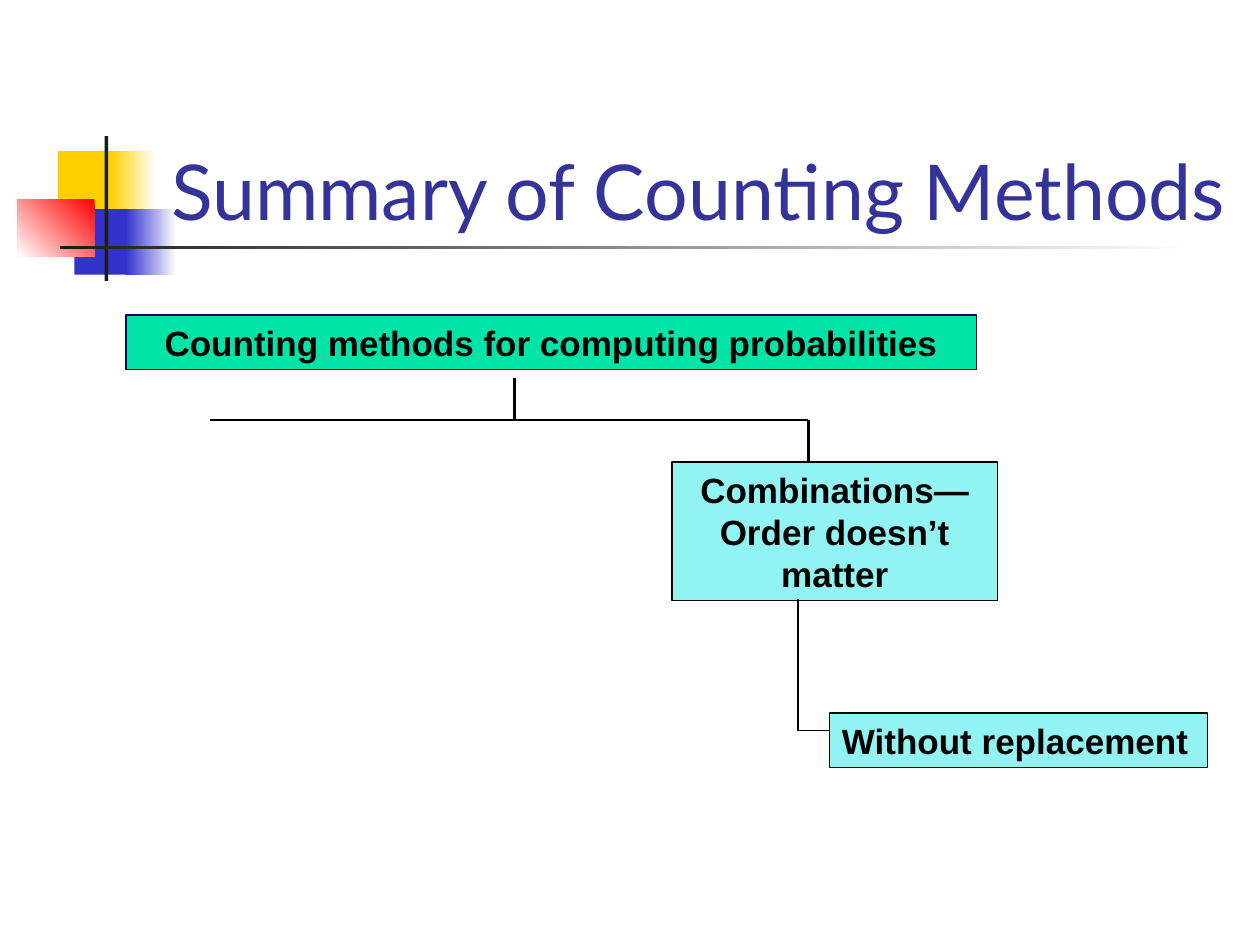
from typing import NamedTuple

from lxml import etree
from pptx import Presentation
from pptx.dml.color import RGBColor
from pptx.enum.shapes import MSO_CONNECTOR, MSO_SHAPE
from pptx.enum.text import MSO_ANCHOR, MSO_AUTO_SIZE, PP_ALIGN
from pptx.oxml.ns import qn
from pptx.util import Inches, Pt

RECT = MSO_SHAPE.RECTANGLE
STRAIGHT = MSO_CONNECTOR.STRAIGHT
TOP, BOTTOM = MSO_ANCHOR.TOP, MSO_ANCHOR.BOTTOM
LEFT, CENTER = PP_ALIGN.LEFT, PP_ALIGN.CENTER
GROW, FIXED = MSO_AUTO_SIZE.SHAPE_TO_FIT_TEXT, MSO_AUTO_SIZE.NONE

WIDTH, HEIGHT = 10, 7.5
CELL = 1 / 12  # the chart's grid has twelve cells to the inch
WHITE, BLACK, DARK = "FFFFFF", "000000", "1C1C1C"
YELLOW, BLUE, RED = "FFCF01", "3333CC", "FF0000"
GREEN, AQUA, NAVY, INDIGO = "00E4A8", "92F4F2", "000066", "333399"


class Ornament(NamedTuple):
    """Title decoration in inches; two colours make a gradient."""
    left: float
    top: float
    width: float
    height: float
    colors: tuple[str, ...]
    angle: int = 180


class Box(NamedTuple):
    """Labelled box in grid cells."""
    col: float
    row: float
    cols: float
    rows: float
    lines: tuple[str, ...]
    fill: str
    border: str = BLACK
    align: PP_ALIGN = CENTER


class Branch(NamedTuple):
    """Straight line between two grid points."""
    col1: float
    row1: float
    col2: float
    row2: float
    weight: float = 1.5


ORNAMENTS = [
    Ornament(0.46, 1.2, 0.48, 0.52, (YELLOW,)),
    Ornament(0.88, 1.2, 0.36, 0.52, (WHITE, YELLOW)),
    Ornament(0.59, 1.66, 0.46, 0.52, (BLUE,)),
    Ornament(1, 1.66, 0.4, 0.52, (WHITE, BLUE)),
    Ornament(0.14, 1.58, 0.61, 0.46, (RED, WHITE), 225),
    Ornament(0.83, 1.08, 0.03, 1.15, (DARK,)),
    Ornament(0.48, 1.95, 9, 0.03, (WHITE, DARK)),
]
CHART = [
    Box(12, 30, 81, 5.2, ("Counting methods for computing probabilities",), GREEN, NAVY),
    Branch(77, 40, 77, 47),
    Branch(49, 36, 49, 40),
    Branch(20, 40, 77, 40),
    Box(64, 44, 31, 13.2, ("Combinations—", "Order doesn’t matter"), AQUA),
    Branch(76, 57, 76, 69.6, 0.75),
    Box(79, 67.9, 36, 5.2, ("Without replacement",), AQUA, align=LEFT),
    Branch(76, 69.6, 79, 69.6, 0.75),
]


def rgb(color: str) -> RGBColor:
    return RGBColor.from_string(color)


def grid(*cells: float) -> list[int]:
    return [Inches(n * CELL) for n in cells]


def write(sp, lines, *, font="Arial", size=20, color=BLACK, bold=False, align=CENTER,
          anchor=TOP, fit=GROW, before=0, spacing=1.0) -> None:
    """Fill a shape with paragraphs; the gap before applies to the first."""
    tf = sp.text_frame
    tf.word_wrap, tf.auto_size, tf.vertical_anchor = True, fit, anchor
    for i, line in enumerate(lines):
        p = tf.add_paragraph() if i else tf.paragraphs[0]
        p.alignment, p.line_spacing = align, spacing
        p.space_before = Pt(0 if i else before)
        r = p.add_run()
        r.text = line
        r.font.name, r.font.size, r.font.bold = font, Pt(size), bold
        r.font.color.rgb = rgb(color)


def add_ornament(s, item: Ornament) -> None:
    sp = s.shapes.add_shape(RECT, *map(Inches, item[:4]))
    sp.shadow.inherit = False
    sp.line.fill.background()
    if len(item.colors) == 1:
        sp.fill.solid()
        sp.fill.fore_color.rgb = rgb(item.colors[0])
    else:
        sp.fill.gradient()
        sp.fill.gradient_angle = item.angle
        for stop, color in zip(sp.fill.gradient_stops, item.colors):
            stop.color.rgb = rgb(color)


def add_box(s, box: Box) -> None:
    sp = s.shapes.add_shape(RECT, *grid(*box[:4]))
    sp.shadow.inherit = False
    sp.fill.solid()
    sp.fill.fore_color.rgb = rgb(box.fill)
    sp.line.color.rgb = rgb(box.border)
    sp.line.width = Pt(1)
    write(sp, box.lines, bold=True, align=box.align, before=12.5)


def add_branch(s, branch: Branch) -> None:
    line = s.shapes.add_connector(STRAIGHT, *grid(*branch[:4]))
    line.line.color.rgb = rgb(BLACK)
    line.line.width = Pt(branch.weight)
    etree.SubElement(line._element.spPr, qn("a:effectLst"))


def add_title(s, text: str) -> None:
    title = s.shapes.title
    title.left, title.top, title.width, title.height = map(Inches, (1.26, 0.67, 8.99, 1.25))
    write(title, [text], font="Lato", size=44, color=INDIGO, align=LEFT,
          anchor=BOTTOM, fit=FIXED, spacing=1.1)
    title._element.getparent().append(title._element)  # in front of the ornaments


def main() -> None:
    prs = Presentation()
    prs.slide_width, prs.slide_height = Inches(WIDTH), Inches(HEIGHT)
    s = prs.slides.add_slide(prs.slide_layouts.get_by_name("Title Only"))
    for ornament in ORNAMENTS:
        add_ornament(s, ornament)
    add_title(s, "Summary of Counting Methods")
    for part in CHART:
        if isinstance(part, Box):
            add_box(s, part)
        else:
            add_branch(s, part)
    prs.save("out.pptx")


if __name__ == "__main__":
    main()
